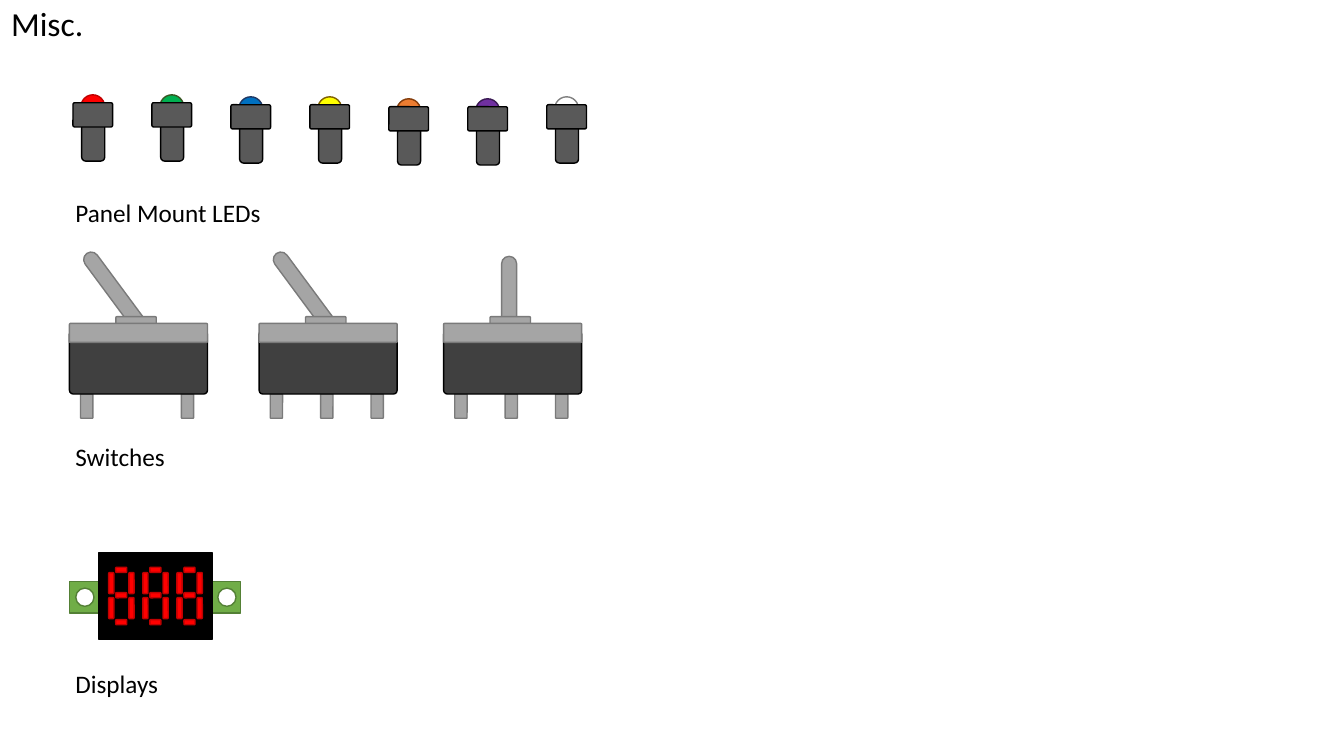
from typing import NamedTuple

from pptx import Presentation
from pptx.dml.color import RGBColor
from pptx.enum.shapes import MSO_SHAPE
from pptx.enum.text import MSO_AUTO_SIZE
from pptx.shapes.autoshape import Shape
from pptx.shapes.shapetree import GroupShapes, SlideShapes
from pptx.slide import Slide
from pptx.util import Cm, Pt

Shapes = SlideShapes | GroupShapes


class Paint(NamedTuple):
    fill: str
    line: str


class Led(NamedTuple):
    paint: Paint
    top: float


class Switch(NamedTuple):
    left: float
    pins: tuple[int, ...]
    tilted: bool


class Label(NamedTuple):
    text: str
    left: float
    top: float
    width: float
    height: float
    size: int


CASE = Paint("595959", "000000")
BODY = Paint("404040", "000000")
METAL = Paint("A5A5A5", "7A7A7A")
BOARD = Paint("70AD47", "538035")
HOLE = Paint("FFFFFF", "538035")
SCREEN = Paint("000000", "000000")
SEGMENT = Paint("FF0000", "C00000")

LABELS = [
    Label("Misc.", 0.03, -0.05, 2.34, 1.27, 24),
    Label("Panel Mount LEDs", 1.65, 4.85, 5.23, 1.02, 18),
    Label("Switches", 1.65, 11, 2.79, 1.02, 18),
    Label("Displays", 1.65, 16.71, 2.62, 1.02, 18),
]

LED_LEFT, LED_PITCH = 1.84, 1.99
LEDS = [
    Led(Paint("FF0000", "C00000"), 2.59),
    Led(Paint("00B050", "385723"), 2.59),
    Led(Paint("0070C0", "203864"), 2.64),
    Led(Paint("FFFF00", "806000"), 2.64),
    Led(Paint("ED7D31", "843C0B"), 2.69),
    Led(Paint("7030A0", "3A1953"), 2.69),
    Led(Paint("FFFFFF", "808080"), 2.64),
]

PIN_PITCH = 1.27
SWITCHES = [
    Switch(1.75, (0, 2), True),
    Switch(6.53, (0, 1, 2), True),
    Switch(11.18, (0, 1, 2), False),
]

DIGIT_LEFT, DIGIT_PITCH, DIGIT_COUNT = 2.74, 0.86, 3


def rgb(color: str) -> RGBColor:
    return RGBColor.from_string(color)


def add_text(slide: Slide, text: str, *, left: float, top: float, width: float,
             height: float, size: int, font: str = "Calibri",
             color: str = "000000") -> None:
    tf = slide.shapes.add_textbox(Cm(left), Cm(top), Cm(width), Cm(height)).text_frame
    tf.word_wrap = False
    tf.auto_size = MSO_AUTO_SIZE.SHAPE_TO_FIT_TEXT
    r = tf.paragraphs[0].add_run()
    r.text = text
    r.font.name = font
    r.font.size = Pt(size)
    r.font.color.rgb = rgb(color)


def add_part(shapes: Shapes, kind: MSO_SHAPE, left: float, top: float, width: float,
             height: float, paint: Paint, rotation: float = 0) -> Shape:
    s = shapes.add_shape(kind, Cm(left), Cm(top), Cm(width), Cm(height))
    s.shadow.inherit = False
    s.fill.solid()
    s.fill.fore_color.rgb = rgb(paint.fill)
    s.line.color.rgb = rgb(paint.line)
    s.line.width = Pt(1)
    s.rotation = rotation
    return s


def add_rounded(shapes: Shapes, left: float, top: float, width: float, height: float,
                paint: Paint, rotation: float = 0, radius: float = 0.06) -> None:
    s = add_part(shapes, MSO_SHAPE.ROUNDED_RECTANGLE, left, top, width, height,
                 paint, rotation)
    s.adjustments[0] = radius


def draw_led(slide: Slide, led: Led, left: float) -> None:
    parts = slide.shapes.add_group_shape().shapes
    add_part(parts, MSO_SHAPE.OVAL, left + 0.2, led.top - 0.2, 0.6, 0.6, led.paint)
    add_rounded(parts, left + 0.22, led.top + 0.33, 0.58, 1.14, CASE, radius=0.17)
    add_rounded(parts, left, led.top, 1, 0.61, CASE, radius=0.07)


def draw_switch(slide: Slide, switch: Switch) -> None:
    parts = slide.shapes.add_group_shape().shapes
    x = switch.left
    dx, top, rotation = (-0.1, 7.26, 53.5) if switch.tilted else (0.33, 7.59, 90)
    add_rounded(parts, x + dx, top, 2.64, 0.38, METAL, rotation, radius=0.5)
    add_rounded(parts, x + 1.17, 7.98, 1.02, 0.48, METAL)
    for pin in switch.pins:
        add_rounded(parts, x + 0.13 + pin * PIN_PITCH, 10.08, 0.61, 0.31, METAL, 90)
    add_rounded(parts, x, 8.33, 3.48, 1.6, BODY)
    add_rounded(parts, x, 8.15, 3.48, 0.48, METAL)


def draw_digit(parts: Shapes, left: float) -> None:
    for dx in (0, 0.51):
        for top in (14.43, 15.06):
            add_rounded(parts, left + dx, top, 0.13, 0.53, SEGMENT, radius=0.17)
    for top in (14.22, 14.86, 15.54):
        add_rounded(parts, left + 0.25, top, 0.13, 0.28, SEGMENT, 90, radius=0.17)


def draw_display(slide: Slide) -> None:
    add_part(slide.shapes, MSO_SHAPE.RECTANGLE, 1.75, 14.66, 4.32, 0.79, BOARD)
    for left in (1.91, 5.49):
        add_part(slide.shapes, MSO_SHAPE.OVAL, left, 14.82, 0.46, 0.46, HOLE)
    add_part(slide.shapes, MSO_SHAPE.RECTANGLE, 2.49, 13.94, 2.87, 2.16, SCREEN)
    digits = slide.shapes.add_group_shape().shapes
    for i in range(DIGIT_COUNT):
        draw_digit(digits, DIGIT_LEFT + i * DIGIT_PITCH)


def main() -> None:
    prs = Presentation()
    prs.slide_width, prs.slide_height = Cm(33.87), Cm(19.05)
    slide = prs.slides.add_slide(prs.slide_layouts[6])
    for label in LABELS:
        add_text(slide, label.text, left=label.left, top=label.top,
                 width=label.width, height=label.height, size=label.size)
    for i, led in enumerate(LEDS):
        draw_led(slide, led, LED_LEFT + i * LED_PITCH)
    for switch in SWITCHES:
        draw_switch(slide, switch)
    draw_display(slide)
    prs.save("out.pptx")


if __name__ == "__main__":
    main()
